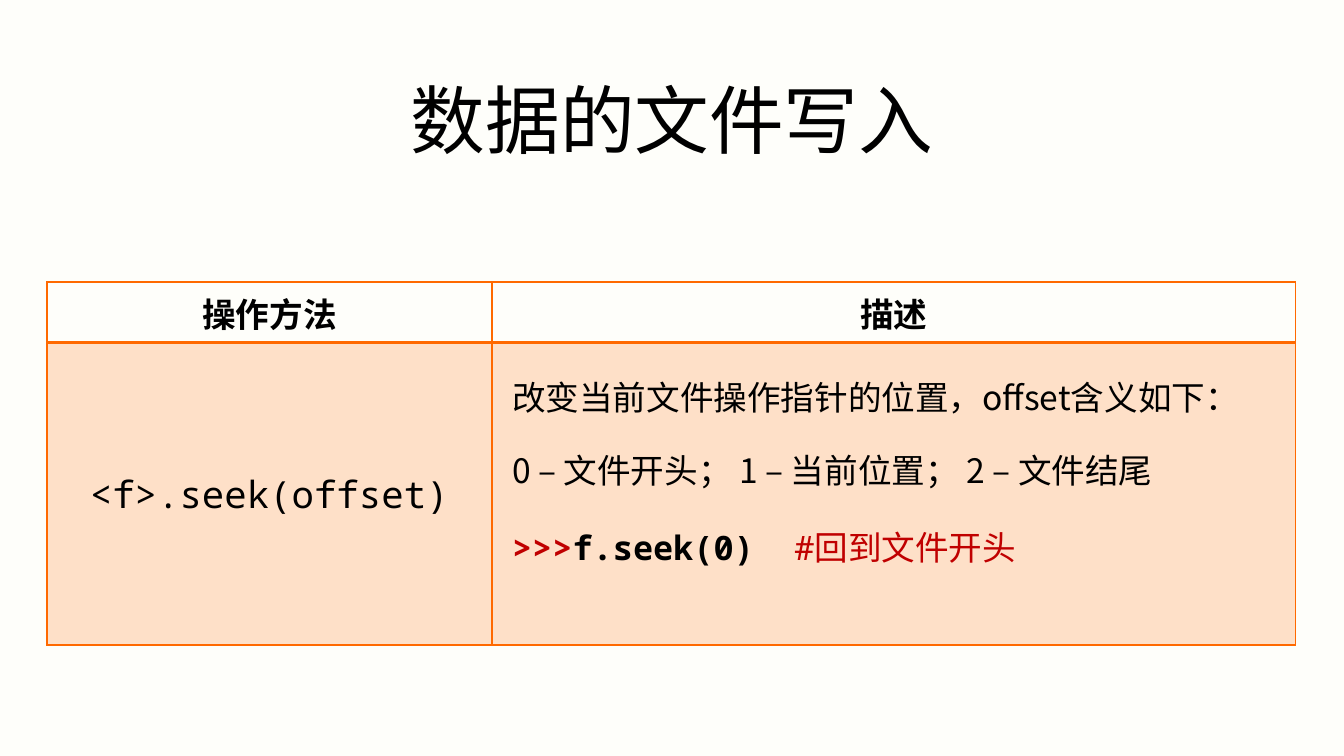
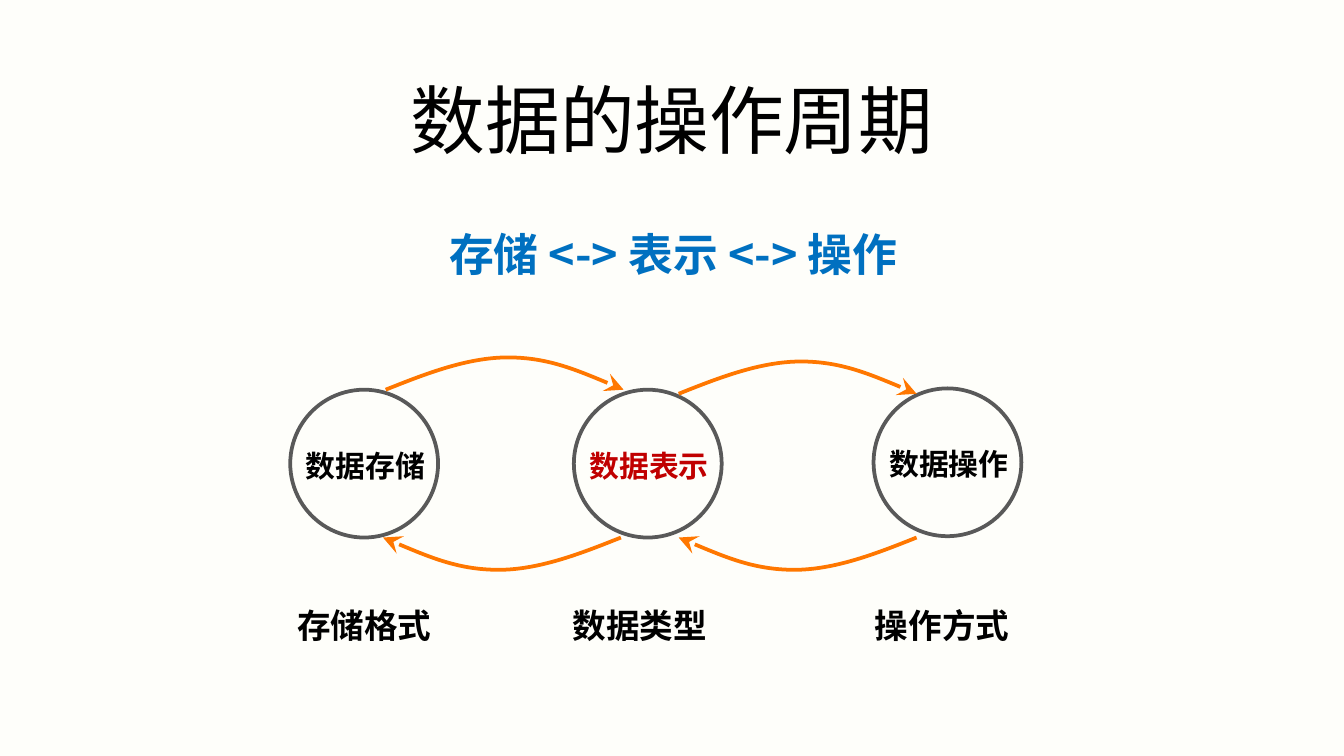
from lxml import etree
from pptx import Presentation
from pptx import oxml
from pptx.dml.color import RGBColor
from pptx.enum import shapes, text
from pptx.oxml import ns
from pptx.util import Inches, Pt

BACKGROUND = RGBColor(0xFE, 0xFE, 0xFA)
BLACK = RGBColor(0, 0, 0)
RED = RGBColor(0xC0, 0, 0)
BLUE = RGBColor(0, 0x70, 0xC0)
GRAY = RGBColor(0x59, 0x59, 0x59)
ORANGE = RGBColor(0xFF, 0x77, 0)
TABLE_ORANGE = RGBColor(0xFF, 0x69, 0)
SANS = "Noto Sans CJK SC"
MONO = "Noto Sans Mono"


def write(paragraph, words, size=18, font=SANS, color=BLACK, bold=False,
          align=text.PP_ALIGN.CENTER, spacing=None):
    """Append one formatted run to a paragraph."""
    paragraph.alignment = align
    if spacing:
        paragraph.line_spacing = spacing
    run = paragraph.add_run()
    run.text = words
    run.font.size = Pt(size)
    run.font.name = font
    run.font.bold = bold
    run.font.color.rgb = color
    east_asian = etree.SubElement(run.font._element, ns.qn("a:ea"))
    east_asian.set("typeface", font)
    run.font._element.find(ns.qn("a:latin")).addnext(east_asian)


def add_text(slide, box, words, inset=True, **format):
    shape = slide.shapes.add_textbox(*map(Inches, box))
    frame = shape.text_frame
    frame.word_wrap = True
    if not inset:
        frame.margin_left = frame.margin_right = 0
        frame.margin_top = frame.margin_bottom = 0
        frame.vertical_anchor = text.MSO_ANCHOR.MIDDLE
    write(frame.paragraphs[0], words, **format)


presentation = Presentation()
presentation.slide_width = Inches(10)
presentation.slide_height = Inches(10) * 9 // 16

slides = []
for title in ("数据的文件写入", "数据的操作周期"):
    slide = presentation.slides.add_slide(presentation.slide_layouts[6])
    slide.background.fill.solid()
    slide.background.fill.fore_color.rgb = BACKGROUND
    add_text(slide, (0, 0.53, 10, 0.87), title, inset=False, size=40, spacing=0.7)
    slides.append(slide)
table_slide, cycle_slide = slides

# Slide 1: table of the seek method
table = table_slide.shapes.add_table(
    2, 2, Inches(0.35), Inches(2.1), Inches(9.29), Inches(2.7)).table
table.first_row = table.horz_banding = False
for column, width in zip(table.columns, (3.31, 5.98)):
    column.width = Inches(width)
for row, height in zip(table.rows, (0.45, 2.25)):
    row.height = Inches(height)

for row_index in range(2):
    for column_index in range(2):
        cell = table.cell(row_index, column_index)
        cell.vertical_anchor = text.MSO_ANCHOR.MIDDLE
        cell.margin_left = cell.margin_right = Inches(0.04)
        cell.margin_top = cell.margin_bottom = Inches(0.02)
        if row_index == 0:
            cell.fill.background()
        else:
            cell.fill.solid()
            cell.fill.fore_color.rgb = TABLE_ORANGE
        properties = cell._tc.get_or_add_tcPr()
        for color in properties.iter(ns.qn("a:srgbClr")):
            etree.SubElement(color, ns.qn("a:alpha")).set("val", "20000")
        header_edge = "B" if row_index == 0 else "T"
        for position, side in enumerate("LRTB"):
            width = Pt(2 if side == header_edge else 1)
            properties.insert(position, oxml.parse_xml(
                f'<a:ln{side} {ns.nsdecls("a")} w="{width}"><a:solidFill>'
                f'<a:srgbClr val="{TABLE_ORANGE}"/></a:solidFill></a:ln{side}>'))

for column_index, heading in enumerate(("操作方法", "描述")):
    write(table.cell(0, column_index).text_frame.paragraphs[0], heading, bold=True)
write(table.cell(1, 0).text_frame.paragraphs[0], "<f>.seek(offset)", size=20, font=MONO)

description = table.cell(1, 1)
description.margin_left = Inches(0.15)
description.margin_bottom = Inches(0.54)
frame = description.text_frame
left = text.PP_ALIGN.LEFT
write(frame.paragraphs[0], "改变当前文件操作指针的位置，offset含义如下：", align=left, spacing=1.5)
write(frame.add_paragraph(), "0 – 文件开头； 1 – 当前位置； 2 – 文件结尾", align=left, spacing=1.5)
example = frame.add_paragraph()
example.line_spacing = 1.6
example.space_before = Pt(2.5)
tabs = etree.SubElement(example._p.get_or_add_pPr(), ns.qn("a:tabLst"))
etree.SubElement(tabs, ns.qn("a:tab"), pos=str(Inches(2.1)), algn="l")
write(example, ">>>", font=MONO, color=RED, bold=True, align=left)
write(example, "f.seek(0)\t", font=MONO, bold=True, align=left)
write(example, "#回到文件开头", font=MONO, color=RED, align=left)

# Slide 2: cycle between storage, representation and operation
add_text(cycle_slide, (0.01, 1.44, 10, 0.71), "存储 <-> 表示 <-> 操作",
         size=24, color=BLUE, bold=True, spacing=1.5)

stages = (
    (2.16, 2.9, "数据存储", BLACK, 2.05, "存储格式"),
    (4.27, 2.9, "数据表示", RED, 4.1, "数据类型"),
    (6.5, 2.89, "数据操作", BLACK, 6.35, "操作方式"),
)
for x, y, name, color, caption_x, caption in stages:
    circle = cycle_slide.shapes.add_shape(
        shapes.MSO_SHAPE.OVAL, Inches(x), Inches(y), Inches(1.1), Inches(1.1))
    circle.shadow.inherit = False
    circle.fill.background()
    circle.line.color.rgb = GRAY
    circle.line.width = Pt(2)
    add_text(cycle_slide, (x - 0.05, y + 0.38, 1.22, 0.37), name,
             size=16, color=color, bold=True)
    add_text(cycle_slide, (caption_x, 4.45, 1.32, 0.4), caption, font=MONO, bold=True)

# Each arc is two cubic curves that meet at its crest
ARC = ((0, 0), (0.3, 0.5), (0.61, 1), (0.91, 1), (1.2, 1), (1.49, 0.5), (1.77, 0))
arrows = ((2.87, 2.9, 1, -0.24), (4.62, 4, -1, 0.24),
          (5.05, 2.93, 1, -0.24), (6.82, 4, -1, 0.24))
for x, y, direction, rise in arrows:
    points = [(Inches(x + direction * dx), Inches(y + rise * dy)) for dx, dy in ARC]
    builder = cycle_slide.shapes.build_freeform(*points[0])
    builder.add_line_segments(points[1:], close=False)
    arrow = builder.convert_to_shape()
    arrow.shadow.inherit = False
    arrow.fill.background()
    arrow.line.color.rgb = ORANGE
    arrow.line.width = Pt(2)
    etree.SubElement(arrow.line._get_or_add_ln(), ns.qn("a:tailEnd"),
                     type="stealth", w="lg", len="lg")
    segments = list(arrow._element.iter(ns.qn("a:lnTo")))
    outline = segments[0].getparent()
    for start in (0, 3):
        curve = etree.SubElement(outline, ns.qn("a:cubicBezTo"))
        for segment in segments[start:start + 3]:
            curve.append(segment[0])
            outline.remove(segment)

presentation.save("out.pptx")
